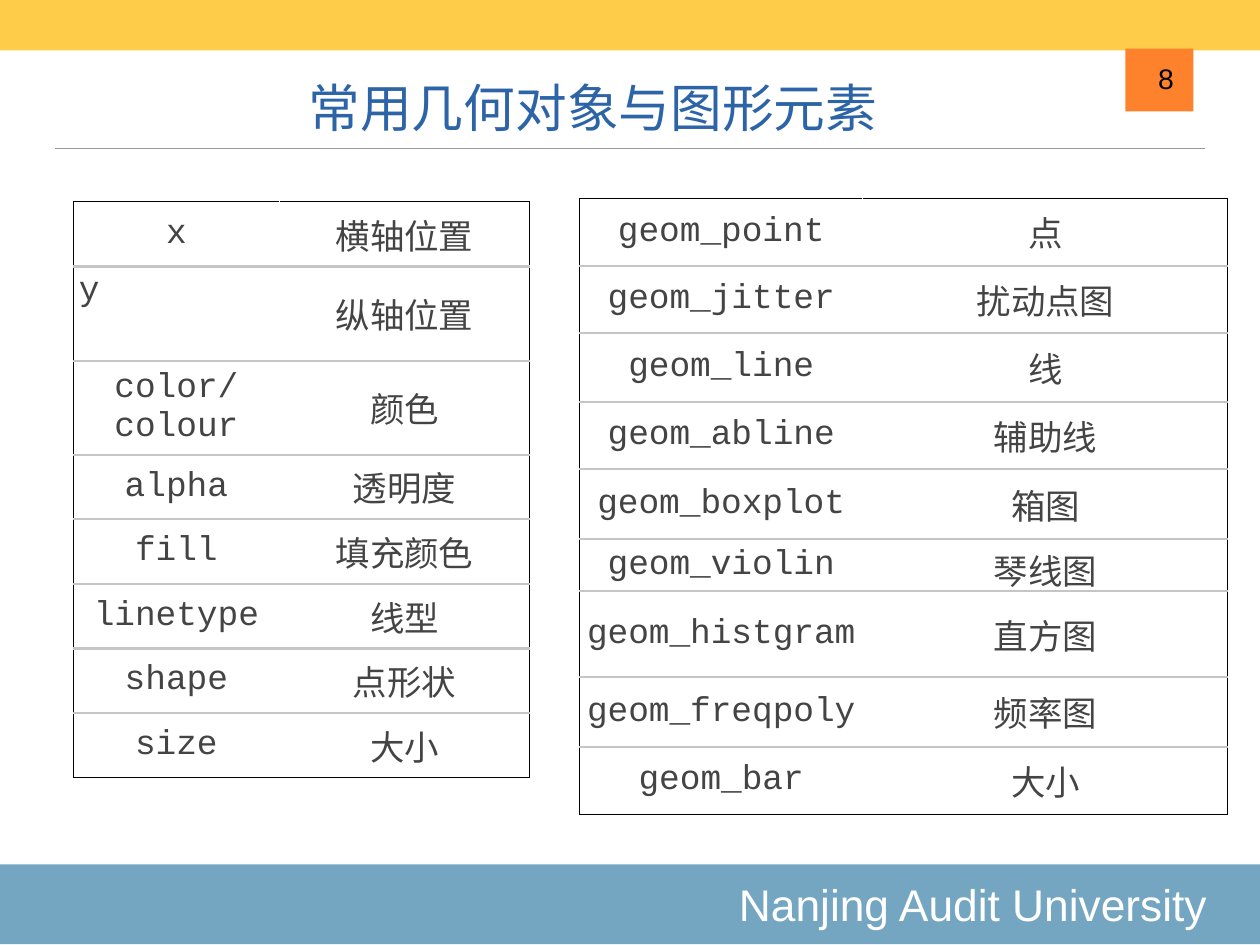
from dataclasses import dataclass

from lxml.etree import SubElement
from pptx import Presentation
from pptx.dml.color import RGBColor
from pptx.enum.shapes import MSO_CONNECTOR as Connector, MSO_SHAPE as Preset
from pptx.enum.text import MSO_ANCHOR as Anchor, PP_ALIGN as Align
from pptx.oxml import parse_xml
from pptx.oxml.ns import nsdecls, qn
from pptx.slide import Slide
from pptx.text.text import TextFrame
from pptx.util import Emu, Inches, Pt

COLOURS = {
    "sun": "FECC49", "orange": "FE812C", "sea": "74A6C2", "title": "2C64A7",
    "body": "444444", "rule": "9A9A9A", "divider": "C4C6C6",
    "black": "000000", "white": "FFFFFF",
}
WIDTH, HEIGHT = Inches(14.22), Inches(10.67)
INSET = Inches(0.06)


@dataclass
class Area:
    """Place and size in percent of the slide's width and height."""
    left: float
    top: float
    width: float
    height: float


@dataclass
class Band:
    area: Area
    colour: str


@dataclass
class Label:
    text: str
    area: Area
    size: int
    colour: str
    align: Align
    anchor: Anchor
    wrap: bool = True
    right_inset: Emu = INSET


@dataclass
class Glossary:
    """Terms with their meanings; lengths in percent of the slide."""
    left: float
    top: float
    columns: tuple[float, float]
    rows: list[tuple[str, str, float]]


# Content
BANDS = [
    Band(Area(-0.14, 91.47, 100.28, 8.43), "sea"),
    Band(Area(-0.14, 0, 100.28, 5.34), "sun"),
    Band(Area(89.31, 5.15, 5.41, 6.65), "orange"),
]
LABELS = [
    Label("Nanjing Audit University", BANDS[0].area, 36, "white",
          Align.RIGHT, Anchor.MIDDLE, right_inset=Inches(0.62)),
    Label("常用几何对象与图形元素", Area(5.84, 5.81, 82.42, 9.37), 42, "title",
          Align.CENTER, Anchor.BOTTOM),
    Label("8", Area(91.49, 6.09, 2.11, 4.59), 23, "black",
          Align.RIGHT, Anchor.BOTTOM, wrap=False),
]
AESTHETICS = Glossary(5.84, 21.37, (16.32, 19.9), [
    ("x", "横轴位置", 6.84),
    ("y", "纵轴位置", 10.03),
    ("color/colour", "颜色", 6.84),
    ("alpha", "透明度", 6.84),
    ("fill", "填充颜色", 6.84),
    ("linetype", "线型", 6.84),
    ("shape", "点形状", 6.84),
    ("size", "大小", 6.84),
])
GEOMETRIES = Glossary(45.99, 20.99, (22.5, 28.97), [
    ("geom_point", "点", 7.12),
    ("geom_jitter", "扰动点图", 7.12),
    ("geom_line", "线", 7.31),
    ("geom_abline", "辅助线", 7.12),
    ("geom_boxplot", "箱图", 7.4),
    ("geom_violin", "琴线图", 5.06),
    ("geom_histgram", "直方图", 9.09),
    ("geom_freqpoly", "频率图", 7.4),
    ("geom_bar", "大小", 7.12),
])


def across(share: float) -> Emu:
    return Emu(round(WIDTH * share / 100))


def down(share: float) -> Emu:
    return Emu(round(HEIGHT * share / 100))


def place(area: Area) -> tuple[Emu, Emu, Emu, Emu]:
    return across(area.left), down(area.top), across(area.width), down(area.height)


def rgb(colour: str) -> RGBColor:
    return RGBColor.from_string(COLOURS[colour])


def write(frame: TextFrame, text: str, font: str, size: int, colour: str, align: Align) -> None:
    frame.text = text
    line = frame.paragraphs[0]
    line.alignment = align
    style = line.runs[0].font
    style.name, style.size, style.color.rgb = font, Pt(size), rgb(colour)


def draw_band(slide: Slide, band: Band) -> None:
    bar = slide.shapes.add_shape(Preset.RECTANGLE, *place(band.area))
    bar.shadow.inherit = False
    bar.fill.solid()
    bar.fill.fore_color.rgb = rgb(band.colour)
    bar.line.fill.background()


def draw_label(slide: Slide, label: Label) -> None:
    frame = slide.shapes.add_textbox(*place(label.area)).text_frame
    frame.word_wrap = label.wrap
    frame.vertical_anchor = label.anchor
    frame.margin_left = frame.margin_top = frame.margin_bottom = INSET
    frame.margin_right = label.right_inset
    write(frame, label.text, "Arial", label.size, label.colour, label.align)


def draw_rule(slide: Slide) -> None:
    rule = slide.shapes.add_connector(
        Connector.STRAIGHT, across(4.36), down(15.75), across(95.64), down(15.75))
    rule.line.color.rgb = rgb("rule")
    rule.line.width = Pt(1)
    SubElement(rule._element.spPr, qn("a:effectLst"))


def border(side: str, colour: str, points: int):
    return parse_xml(
        f'<a:ln{side} {nsdecls("a")} w="{Pt(points)}"><a:solidFill>'
        f'<a:srgbClr val="{COLOURS[colour]}"/></a:solidFill></a:ln{side}>')


def draw_glossary(slide: Slide, glossary: Glossary) -> None:
    last = len(glossary.rows) - 1
    area = Area(glossary.left, glossary.top, sum(glossary.columns),
                sum(height for _, _, height in glossary.rows))
    table = slide.shapes.add_table(last + 1, 2, *place(area)).table
    table.first_row = table.horz_banding = False
    for column, width in zip(table.columns, glossary.columns):
        column.width = across(width)
    for r, (term, meaning, height) in enumerate(glossary.rows):
        table.rows[r].height = down(height)
        for c, text in enumerate((term, meaning)):
            cell = table.cell(r, c)
            # The lone y sits in the top left corner of its cell
            corner = text == "y"
            cell.vertical_anchor = Anchor.TOP if corner else Anchor.MIDDLE
            cell.margin_left = cell.margin_right = INSET
            cell.margin_top = cell.margin_bottom = INSET
            write(cell.text_frame, text, "Courier New", 28, "body",
                  Align.LEFT if corner else Align.CENTER)
            cell.fill.background()
            # Black outer frame, grey dividers between rows
            edges = [
                border("R" if c else "L", "black", 1),
                border("T", *(("divider", 2) if r else ("black", 1))),
                border("B", *(("divider", 2) if r < last else ("black", 1))),
            ]
            for position, edge in enumerate(edges):
                cell._tc.get_or_add_tcPr().insert(position, edge)


def main() -> None:
    deck = Presentation()
    deck.slide_width, deck.slide_height = WIDTH, HEIGHT
    slide = deck.slides.add_slide(deck.slide_layouts[6])

    # Frame of the page
    draw_rule(slide)
    for band in BANDS:
        draw_band(slide, band)

    # Title, page number and footer
    for label in LABELS:
        draw_label(slide, label)

    # The two glossaries
    for glossary in (AESTHETICS, GEOMETRIES):
        draw_glossary(slide, glossary)

    deck.save("out.pptx")


if __name__ == "__main__":
    main()
